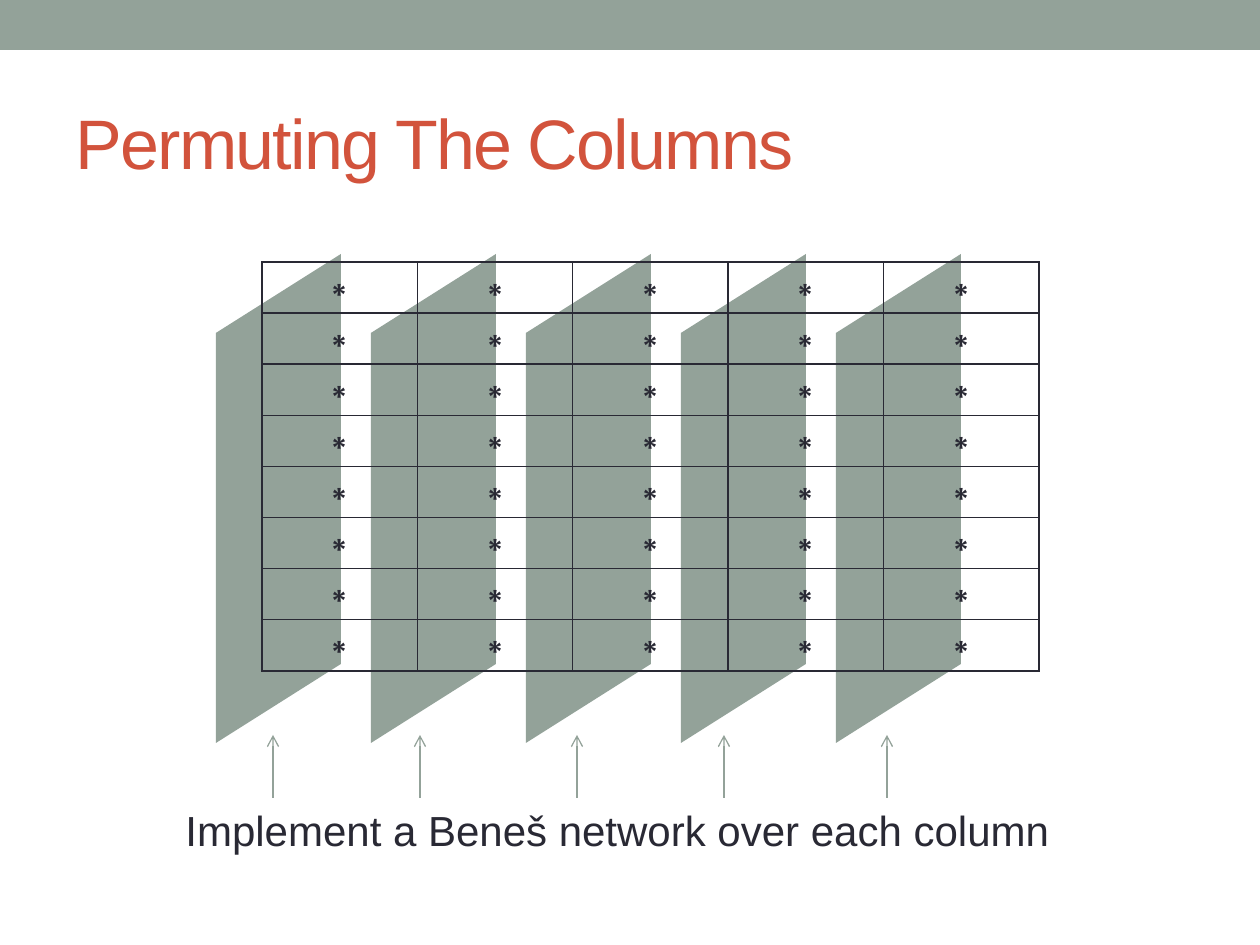
"""Build the slide on permuting the columns of a grid."""
from lxml import etree
from pptx import Presentation, util as u
from pptx.dml.color import RGBColor
from pptx.enum import shapes, text
from pptx.oxml.ns import qn

EMU_PER_PX = 914400 / 126
FONT = "Arial"
COLORS = {"sage": "93A299", "title": "D2533C", "ink": "292934"}
ROWS, COLS = 8, 5
PITCH = 155
ARROW_XS = (273, 420, 577, 724, 887)


def px(n):
    """Turn pixels into EMU."""
    return u.Emu(round(n * EMU_PER_PX))


def box(*lengths):
    """Turn several pixel lengths into EMU."""
    return [px(n) for n in lengths]


def rgb(name):
    """Look up a colour by name."""
    return RGBColor.from_string(COLORS[name])


def paint(sp):
    """Give a shape a plain sage fill without outline or shadow."""
    sp.shadow.inherit = False
    sp.fill.solid()
    sp.fill.fore_color.rgb = rgb("sage")
    sp.line.fill.background()


def style(p, size, color, bold=False):
    """Set the font of a paragraph."""
    p.font.name = FONT
    p.font.size = u.Pt(size)
    p.font.bold = bold
    p.font.color.rgb = rgb(color)


def add_bar(s):
    """Add the band across the top."""
    paint(s.shapes.add_shape(shapes.MSO_SHAPE.RECTANGLE, *box(0, 0, 1260, 50)))


def set_title(s, wording):
    """Place and format the title."""
    sp = s.shapes.title
    sp.left, sp.top, sp.width, sp.height = box(63, 73, 1134, 136)
    tf = sp.text_frame
    tf.text = wording
    tf.vertical_anchor = text.MSO_ANCHOR.MIDDLE
    tf.auto_size = text.MSO_AUTO_SIZE.NONE
    p = tf.paragraphs[0]
    p.alignment = text.PP_ALIGN.LEFT
    style(p, 40, "title")
    p.runs[0]._r.get_or_add_rPr().set("spc", "-100")


def add_panel(s, left):
    """Add one slanted panel standing behind a column."""
    right = left + 125
    builder = s.shapes.build_freeform(left, 333, scale=EMU_PER_PX)
    builder.add_line_segments([(right, 254), (right, 664), (left, 743)])
    paint(builder.convert_to_shape())


def add_borders(cell):
    """Draw thin lines on all four sides of a cell."""
    props = cell._tc.get_or_add_tcPr()
    for i, side in enumerate(("lnL", "lnR", "lnT", "lnB")):
        ln = etree.Element(qn(f"a:{side}"), w=str(u.Pt(1)))
        fill = etree.SubElement(ln, qn("a:solidFill"))
        etree.SubElement(fill, qn("a:srgbClr"), val=COLORS["ink"])
        props.insert(i, ln)


def add_grid(s):
    """Add the transparent table of stars."""
    table = s.shapes.add_table(ROWS, COLS, *box(262, 262, 777, 409)).table
    table.first_row = table.horz_banding = False
    for cell in table.iter_cells():
        cell.fill.background()
        add_borders(cell)
        cell.margin_top = cell.margin_bottom = 0
        cell.text = "∗"
        p = cell.text_frame.paragraphs[0]
        p.alignment = text.PP_ALIGN.CENTER
        style(p, 24, "ink", bold=True)


def add_caption(s, wording):
    """Add the line of text under the arrows."""
    tf = s.shapes.add_textbox(*box(173, 798, 898, 63)).text_frame
    tf.word_wrap = False
    tf.auto_size = text.MSO_AUTO_SIZE.SHAPE_TO_FIT_TEXT
    tf.text = wording
    style(tf.paragraphs[0], 24, "ink")


def add_arrow(s, x):
    """Add an arrow pointing up at a panel."""
    line = s.shapes.add_connector(
        shapes.MSO_CONNECTOR.STRAIGHT, *box(x, 798, x, 735))
    line.line.width = u.Pt(0.75)
    line.line.color.rgb = rgb("sage")
    etree.SubElement(line.line._get_or_add_ln(), qn("a:tailEnd"), type="arrow")
    etree.SubElement(line._element.spPr, qn("a:effectLst"))


def main():
    """Assemble and save the slide."""
    prs = Presentation()
    prs.slide_width, prs.slide_height = box(1260, 945)
    s = prs.slides.add_slide(prs.slide_layouts[5])
    add_bar(s)
    set_title(s, "Permuting The Columns")
    for i in range(COLS):
        add_panel(s, 216 + i * PITCH)
    add_grid(s)
    add_caption(s, "Implement a Beneš network over each column")
    for x in ARROW_XS:
        add_arrow(s, x)
    prs.save("out.pptx")


if __name__ == "__main__":
    main()
